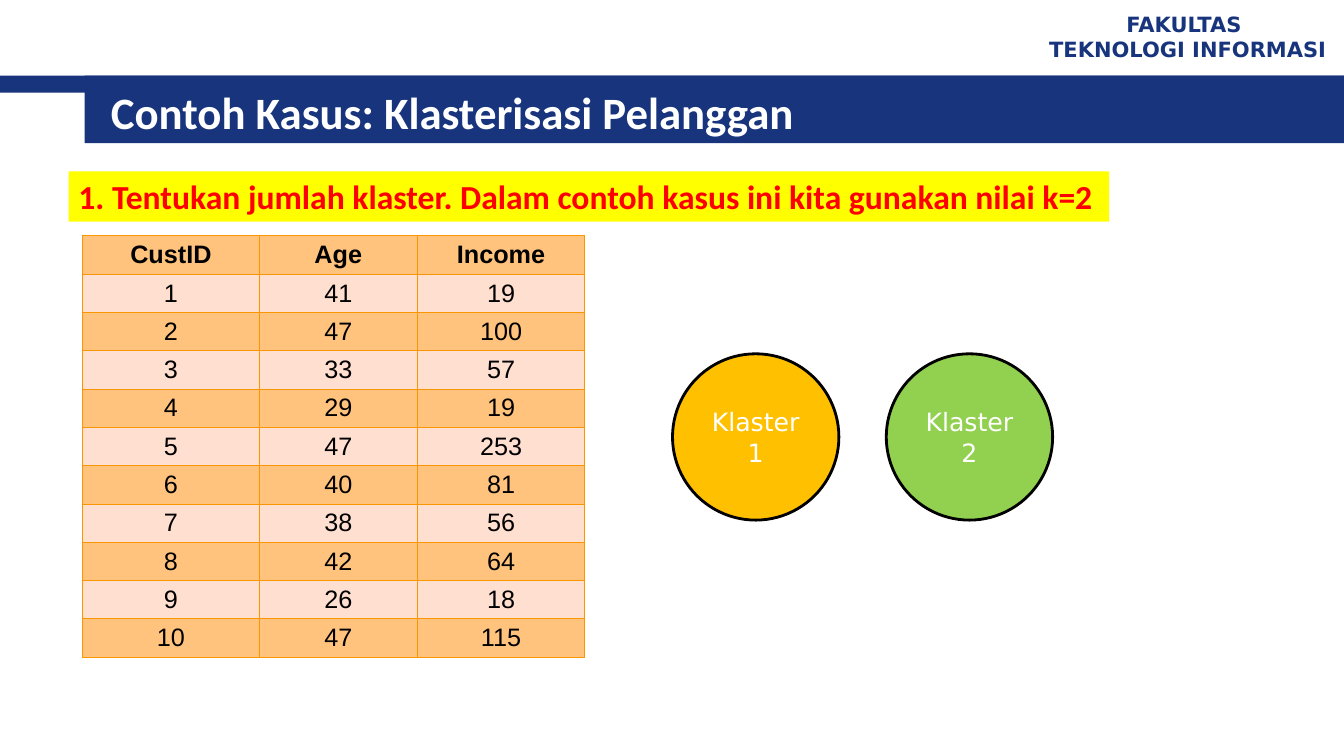
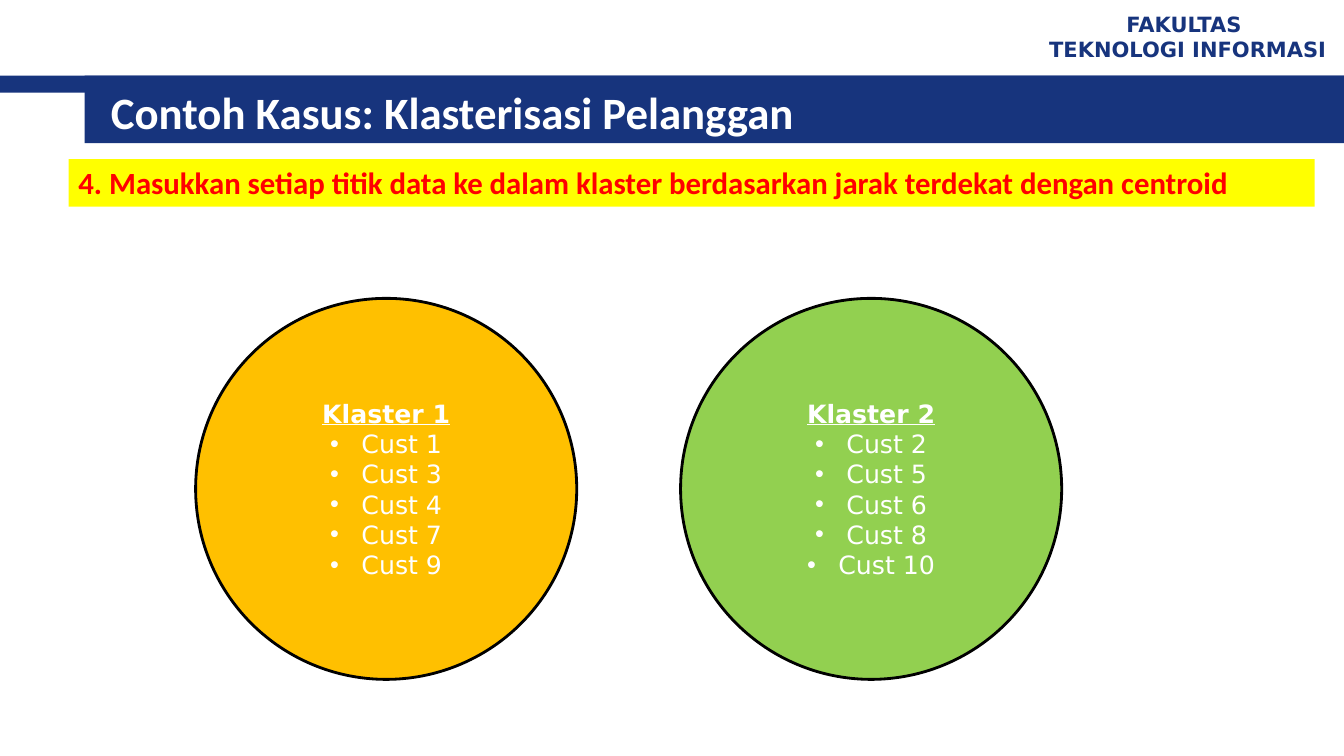
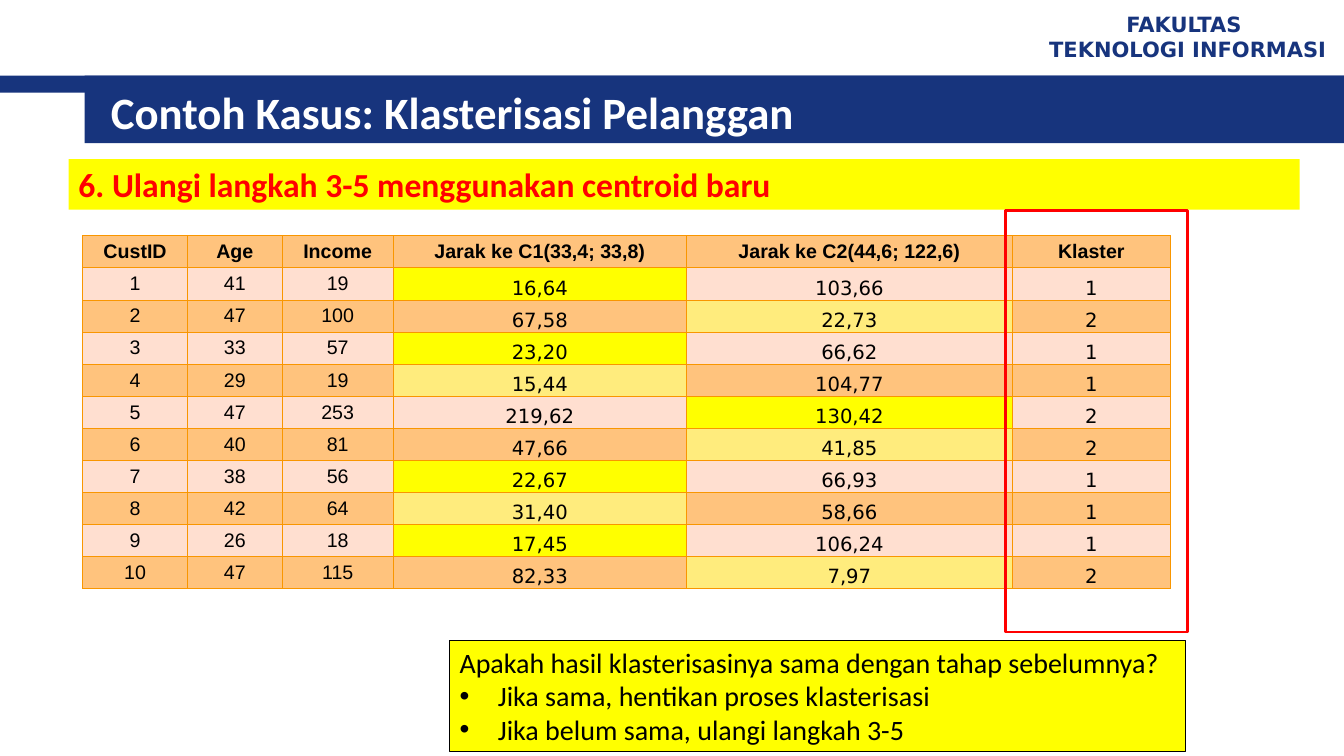
from lxml import etree
from pptx import Presentation
from pptx.dml.color import RGBColor
from pptx.enum.shapes import MSO_SHAPE
from pptx.enum.text import MSO_ANCHOR, MSO_AUTO_SIZE, PP_ALIGN
from pptx.oxml import parse_xml
from pptx.oxml.ns import nsdecls, qn
from pptx.util import Inches, Pt

HUES = {
    "navy": "17347D", "white": "FFFFFF", "black": "000000", "red": "FF0000",
    "yellow": "FFFF00", "pale": "FFEC7D", "gold": "FFC000", "green": "92D050",
    "light": "FFDFD0", "band": "FFC37D", "edge": "F99600",
}

# Text styles
BRAND = {"name": "DejaVu Sans", "size": 15, "bold": True, "color": "navy"}
TITLE = {"name": "Calibri", "size": 32, "bold": True, "color": "white"}
STEP = {"name": "Calibri", "size": 24, "bold": True, "color": "red"}
NOTE = {"name": "Calibri", "size": 20, "color": "black"}
LABEL = {"name": "DejaVu Sans", "size": 18, "color": "white"}
HEAD = {"bold": True, "underline": True}
CELL = {"name": "Arial", "color": "black"}

# CustID, Age, Income, distance to C1, distance to C2
DATA = [
    ("1", "41", "19", "16,64", "103,66"),
    ("2", "47", "100", "67,58", "22,73"),
    ("3", "33", "57", "23,20", "66,62"),
    ("4", "29", "19", "15,44", "104,77"),
    ("5", "47", "253", "219,62", "130,42"),
    ("6", "40", "81", "47,66", "41,85"),
    ("7", "38", "56", "22,67", "66,93"),
    ("8", "42", "64", "31,40", "58,66"),
    ("9", "26", "18", "17,45", "106,24"),
    ("10", "47", "115", "82,33", "7,97"),
]
FIELDS = ["CustID", "Age", "Income"]


def hue(name):
    return RGBColor.from_string(HUES[name])


def put(item, values):
    for key, value in values.items():
        setattr(item, key, value)


def place(item, spot):
    sides = ("left", "top", "width", "height")
    put(item, dict(zip(sides, map(Inches, spot))))


def style(font, look):
    for key, value in look.items():
        if key == "color":
            font.color.rgb = hue(value)
        else:
            setattr(font, key, Pt(value) if key == "size" else value)


def bullet(para, indent):
    props = para._p.get_or_add_pPr()
    props.set("marL", str(Inches(indent)))
    props.set("indent", str(-Inches(indent)))
    etree.SubElement(props, qn("a:buFont")).set("typeface", "Arial")
    etree.SubElement(props, qn("a:buChar")).set("char", "•")


def write(frame, lines, look, align=PP_ALIGN.LEFT, indent=0, head=None):
    """Fill a frame; with an indent, all lines after the first are bulleted."""
    for num, line in enumerate(lines):
        para = frame.add_paragraph() if num else frame.paragraphs[0]
        para.alignment = align
        if num and indent:
            bullet(para, indent)
        run = para.add_run()
        run.text = line
        style(run.font, look if num else {**look, **(head or {})})


def shape(slide, spot, fill=None, line=None, width=2, kind=MSO_SHAPE.RECTANGLE):
    item = slide.shapes.add_shape(kind, *map(Inches, spot))
    item.shadow.inherit = False
    if fill:
        item.fill.solid()
        item.fill.fore_color.rgb = hue(fill)
    else:
        item.fill.background()
    if line:
        item.line.color.rgb = hue(line)
        item.line.width = Pt(width)
    else:
        item.line.fill.background()
    return item


def panel(slide, spot, lines, look, line=None, indent=0):
    item = shape(slide, spot, "yellow", line, 0.75)
    put(item.text_frame, {"word_wrap": True, "vertical_anchor": MSO_ANCHOR.TOP})
    write(item.text_frame, lines, look, indent=indent)


def discs(slide, left, top, size, step, groups, head=None):
    for num, (fill, lines) in enumerate(zip(("gold", "green"), groups)):
        spot = (left + num * step, top, size, size)
        item = shape(slide, spot, fill, "black", kind=MSO_SHAPE.OVAL)
        frame = item.text_frame
        put(frame, {"word_wrap": True, "vertical_anchor": MSO_ANCHOR.MIDDLE})
        write(frame, lines, LABEL, PP_ALIGN.CENTER, 0.31, head)


def border(cell):
    props = cell._tc.get_or_add_tcPr()
    for side in "LRTB":
        props.append(parse_xml(
            f'<a:ln{side} {nsdecls("a")} w="{Pt(0.75)}"><a:solidFill>'
            f'<a:srgbClr val="{HUES["edge"]}"/></a:solidFill></a:ln{side}>'))


def grid(slide, rows, cols, height, size):
    """Banded table; in each row the smaller distance is marked."""
    spot = map(Inches, (0.82, 2.34, sum(cols), height))
    table = slide.shapes.add_table(len(rows), len(cols), *spot).table
    for col, width in zip(table.columns, cols):
        col.width = Inches(width)
    for r, row in enumerate(rows):
        odd = r % 2 == 1
        for c, text in enumerate(row):
            cell = table.cell(r, c)
            calc = r > 0 and c >= len(FIELDS)
            near = calc and c == len(FIELDS) + int(row[-1]) - 1
            fill = ("yellow" if odd else "pale") if near else (
                "light" if odd else "band")
            border(cell)
            cell.fill.solid()
            cell.fill.fore_color.rgb = hue(fill)
            gap = Inches(0.01 if calc else 0.04)
            put(cell, {
                "margin_left": gap, "margin_right": gap, "margin_top": gap,
                "margin_bottom": 0 if calc else gap,
                "vertical_anchor":
                    MSO_ANCHOR.BOTTOM if calc else MSO_ANCHOR.MIDDLE,
            })
            look = {**CELL, "size": size, "bold": r == 0}
            if calc:
                look["name"] = LABEL["name"]
            write(cell.text_frame, [text], look, PP_ALIGN.CENTER)


def group(row):
    near, far = (float(text.replace(",", ".")) for text in row[3:])
    return "1" if near < far else "2"


def brand(layout, slide):
    """Build the bands and the heading, then hand them to the layout."""
    parts = [shape(slide, spot, "navy") for spot in
             ((0, 0.75, 13.33, 0.17), (0.84, 0.75, 12.5, 0.67))]
    box = slide.shapes.add_textbox(*map(Inches, (10.23, 0.05, 3.1, 0.62)))
    put(box.text_frame,
        {"word_wrap": True, "vertical_anchor": MSO_ANCHOR.MIDDLE})
    write(box.text_frame, ["FAKULTAS ", "TEKNOLOGI INFORMASI"], BRAND,
          PP_ALIGN.CENTER)
    for part in parts + [box]:
        layout.shapes.element.append(part.element)


def page(deck, layout):
    slide = deck.slides.add_slide(layout)
    title = slide.shapes.title
    place(title, (1, 0.8, 11.89, 0.62))
    put(title.text_frame, {"word_wrap": True, "auto_size": MSO_AUTO_SIZE.NONE,
                           "vertical_anchor": MSO_ANCHOR.MIDDLE})
    write(title.text_frame, ["Contoh Kasus: Klasterisasi Pelanggan"], TITLE)
    return slide


def main():
    deck = Presentation()
    put(deck, {"slide_width": Inches(13.33), "slide_height": Inches(7.5)})
    layout = deck.slide_layouts[5]
    count, final, repeat = (page(deck, layout) for _ in range(3))
    brand(layout, count)

    # Number of clusters
    grid(count, [FIELDS] + [row[:3] for row in DATA],
         (1.75, 1.57, 1.66), 4.18, 18)
    panel(count, (0.68, 1.7, 10.32, 0.5),
          ["1. Tentukan jumlah klaster. Dalam contoh kasus ini kita gunakan "
           "nilai k=2"], STEP)
    discs(count, 6.67, 3.51, 1.65, 2.12, [["Klaster 1"], ["Klaster 2"]])

    # Members of each cluster
    panel(final, (0.68, 1.58, 12.36, 0.47),
          ["4. Masukkan setiap titik data ke dalam klaster berdasarkan jarak "
           "terdekat dengan centroid"], {**STEP, "size": 22})
    teams = ((1, 3, 4, 7, 9), (2, 5, 6, 8, 10))
    discs(final, 1.94, 2.96, 3.78, 4.81,
          [[f"Klaster {num}"] + [f"Cust {cust}" for cust in team]
           for num, team in enumerate(teams, 1)], HEAD)

    # Distances to the new centroids
    heads = FIELDS + ["Jarak ke C1(33,4; 33,8)", "Jarak ke C2(44,6; 122,6)",
                      "Klaster"]
    grid(repeat, [heads] + [(*row, group(row)) for row in DATA],
         (1.04, 0.94, 1.1, 2.91, 3.23, 1.57), 3.5, 14)
    panel(repeat, (0.68, 1.58, 12.21, 0.5),
          ["6. Ulangi langkah 3-5 menggunakan centroid baru"], STEP)
    shape(repeat, (9.97, 2.09, 1.81, 4.18), line="red")
    panel(repeat, (4.46, 6.35, 7.3, 1.11),
          ["Apakah hasil klasterisasinya sama dengan tahap sebelumnya?",
           "Jika sama, hentikan proses klasterisasi",
           "Jika belum sama, ulangi langkah 3-5"], NOTE, "black", 0.38)

    deck.save("out.pptx")


if __name__ == "__main__":
    main()
